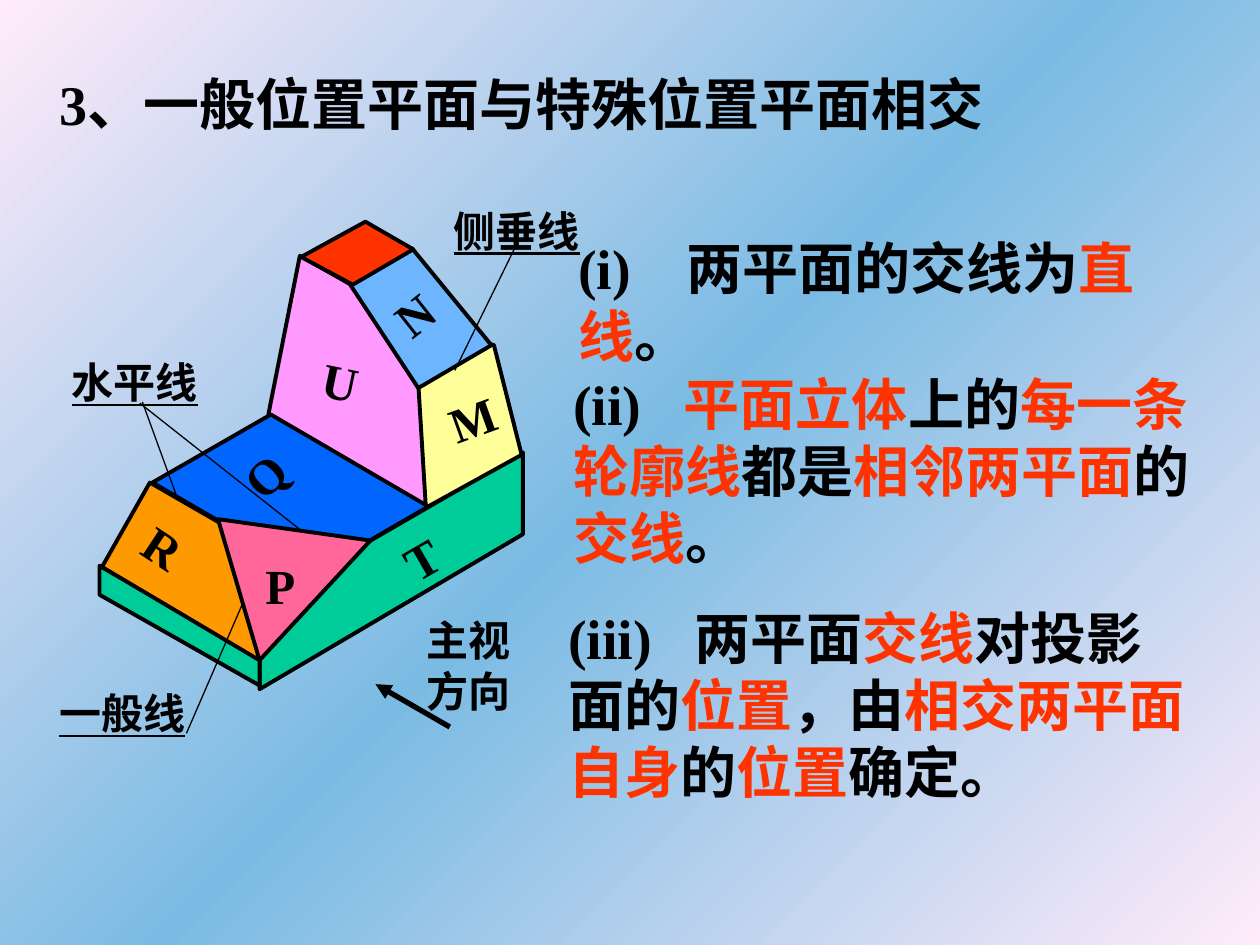
from copy import deepcopy

from pptx import Presentation
from pptx.dml.color import RGBColor
from pptx.enum.shapes import MSO_CONNECTOR
from pptx.enum.text import MSO_ANCHOR, PP_ALIGN
from pptx.oxml.ns import qn
from pptx.util import Inches, Pt
from lxml import etree

STRAIGHT = MSO_CONNECTOR.STRAIGHT
MIDDLE, TOP = MSO_ANCHOR.MIDDLE, MSO_ANCHOR.TOP
LEFT, CENTER = PP_ALIGN.LEFT, PP_ALIGN.CENTER

FONT = "Times New Roman"
BLACK = RGBColor(0x00, 0x00, 0x00)
RED = RGBColor(0xFF, 0x33, 0x00)
GREEN = RGBColor(0x00, 0xCC, 0x99)
VIOLET = RGBColor(0xFF, 0x99, 0xFF)
YELLOW = RGBColor(0xFF, 0xFF, 0x99)
LIGHT_BLUE = RGBColor(0x6D, 0xB6, 0xFF)
ORANGE = RGBColor(0xFF, 0x99, 0x00)
BLUE = RGBColor(0x00, 0x66, 0xFF)
ROSE = RGBColor(0xFF, 0x66, 0x99)
PALE_PINK = RGBColor(0xFF, 0xEB, 0xFA)
SKY = RGBColor(0x7B, 0xBB, 0xE3)

presentation = Presentation()
presentation.slide_width, presentation.slide_height = Inches(10), Inches(7.5)
slide = presentation.slides.add_slide(presentation.slide_layouts[6])


def add_text(box, parts, size, align=LEFT, anchor=TOP, wrap=True, tab=None):
    """Add a bold text box; every second part is red, tab is a stop in inches."""
    shape = slide.shapes.add_textbox(*map(Inches, box))
    text_frame = shape.text_frame
    text_frame.word_wrap = wrap
    text_frame.vertical_anchor = anchor
    paragraph = text_frame.paragraphs[0]
    paragraph.alignment = align
    if tab:
        properties = paragraph._p.get_or_add_pPr()
        tabs = etree.SubElement(properties, qn("a:tabLst"))
        etree.SubElement(tabs, qn("a:tab"), pos=str(Inches(tab)), algn="l")
    for index, part in enumerate(parts):
        run = paragraph.add_run()
        run.text = part
        run.font.name, run.font.size, run.font.bold = FONT, Pt(size), True
        run.font.color.rgb = RED if index % 2 else BLACK
    return shape


def add_line(start, end, width=0.75):
    line = slide.shapes.add_connector(STRAIGHT, *map(Inches, start + end))
    line.line.color.rgb = BLACK
    line.line.width = Pt(width)
    etree.SubElement(line._element.spPr, qn("a:effectLst"))
    return line


# Background: diagonal gradient, pink to blue to pink
background = slide.background.fill
background.gradient()
background.gradient_angle = 135
stop_list = slide._element.find(".//" + qn("a:gsLst"))
middle_stop = deepcopy(stop_list[0])
middle_stop.set("pos", "50000")
stop_list.insert(1, middle_stop)
for stop, color in zip(background.gradient_stops, (PALE_PINK, SKY, PALE_PINK)):
    stop.color.rgb = color

# Statements
statements = [
    ((4.49, 2.07, 4.8, 0.64), 0.86, ["(i)\t两平面的交线为", "直线", "。"]),
    ((4.45, 2.88, 5.17, 1.7), 0.88,
     ["(ii)\t", "平面立体", "上的", "每一条轮廓线", "都是", "相邻两平面",
      "的", "交线", "。"]),
    ((4.41, 4.74, 5.19, 1.7), 1.0,
     ["(iii)\t两平面", "交线", "对投影面的", "位置", "，由",
      "相交两平面自身", "的", "位置", "确定。"]),
]
for box, tab, parts in statements:
    add_text(box, parts, 32, anchor=MIDDLE, tab=tab)

# Faces of the solid, back to front
faces = [
    (GREEN, [(2.06, 5.47), (4.15, 4.24), (4.15, 3.59), (2.06, 4.8)]),
    (VIOLET, [(2.38, 2.03), (2.13, 3.29), (3.39, 4.03), (3.65, 2.75)]),
    (YELLOW, [(3.92, 2.74), (4.14, 3.61), (3.38, 4.03), (3.29, 2.56)]),
    (LIGHT_BLUE, [(3.9, 2.74), (3.32, 3.08), (2.78, 2.26), (3.27, 1.97)]),
    (RED, [(2.9, 1.76), (3.28, 1.98), (2.8, 2.26), (2.39, 2.04)]),
    (GREEN, [(2.06, 5.44), (0.79, 4.72), (0.79, 4.49), (2.06, 5.22)]),
    (ORANGE, [(1.19, 3.83), (2.44, 4.55), (2.06, 5.24), (0.81, 4.5)]),
    (BLUE, [(2.47, 4.56), (3.4, 4.02), (2.15, 3.29), (1.21, 3.83)]),
    (ROSE, [(2.06, 5.24), (2.94, 4.29), (1.73, 4.12)]),
]
for color, corners in faces:
    points = [(Inches(x), Inches(y)) for x, y in corners]
    builder = slide.shapes.build_freeform(*points[0])
    builder.add_line_segments(points[1:], close=True)
    face = builder.convert_to_shape()
    face.shadow.inherit = False
    face.fill.solid()
    face.fill.fore_color.rgb = color
    face.line.color.rgb = BLACK
    face.line.width = Pt(2.25)

face_labels = [
    ("N", 3.05, 2.21, 0.48, 321.8),
    ("M", 3.47, 3.04, 0.56, 340.1),
    ("U", 2.46, 2.74, 0.48, 11.7),
    ("Q", 1.85, 3.49, 0.5, 316),
    ("T", 3.12, 4.15, 0.46, 329.9),
    ("R", 1.06, 4.06, 0.48, 33.5),
    ("P", 1.95, 4.36, 0.55, 0),
]
for letter, left, top, width, rotation in face_labels:
    label = add_text((left, top, width, 0.57), [letter], 28, CENTER, wrap=False)
    label.rotation = rotation

# Viewing direction
view_arrow = add_line((2.98, 5.43), (3.57, 5.77), 3)
outline = view_arrow._element.spPr.find(qn("a:ln"))
etree.SubElement(outline, qn("a:headEnd"), type="triangle")
add_text((3.29, 4.83, 1.05, 0.9), ["主视方向"], 24)

# Names of the edges with their leader lines
edge_names = [
    ("水平线", 0.47, 2.78, [((2.39, 4.21), (1.11, 3.2)), ((1.41, 3.96), (1.13, 3.19))]),
    ("侧垂线", 3.5, 1.58, [((3.61, 2.94), (4.08, 1.98))]),
    ("一般线", 0.37, 5.41, [((1.48, 5.82), (1.93, 4.78))]),
]
for name, left, top, leaders in edge_names:
    label = add_text((left, top, 1.2, 0.5), [name], 24, CENTER, wrap=False)
    label.text_frame.paragraphs[0].runs[0].font.underline = True
    for start, end in leaders:
        add_line(start, end)

# Title
add_text((0.37, 0.5, 7.65, 0.64), ["3、一般位置平面与特殊位置平面相交"], 32, wrap=False)

presentation.save("out.pptx")
